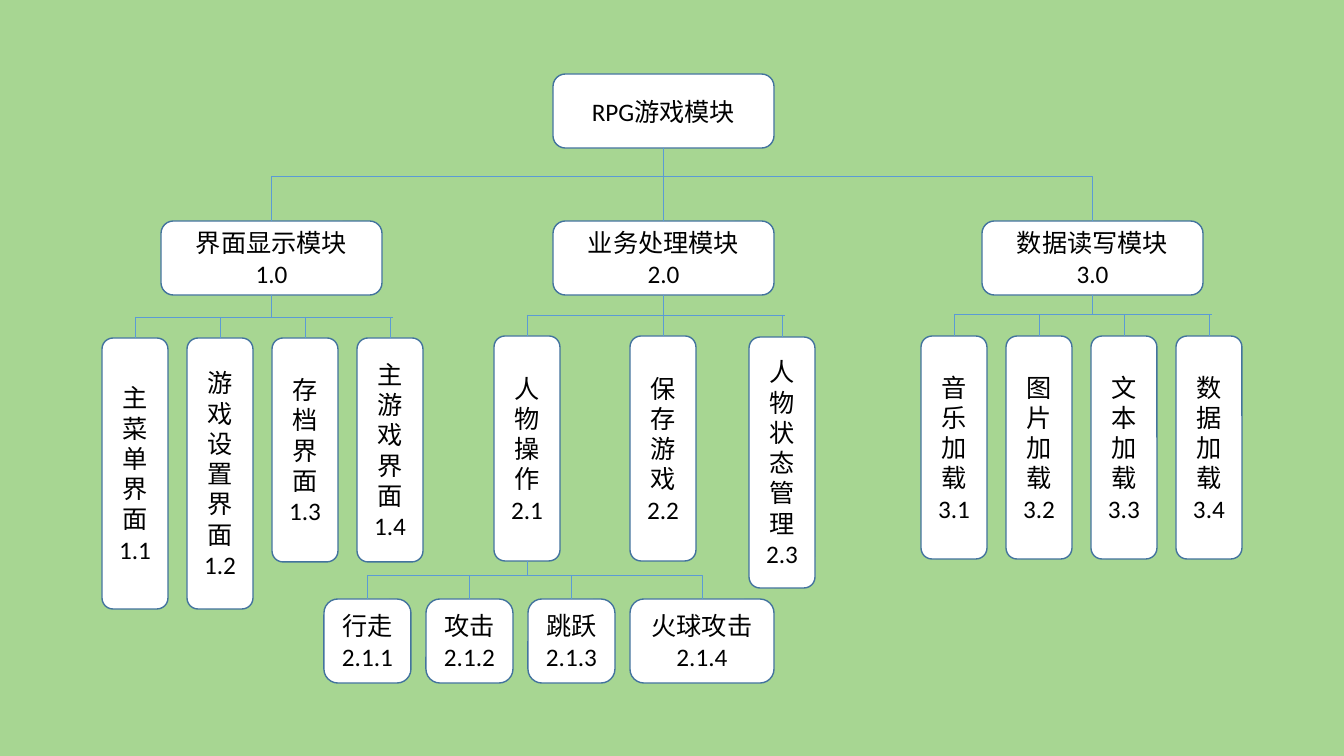
"""Builds a one-slide module tree for an RPG game."""
from lxml.etree import SubElement
from pptx import Presentation
from pptx.dml.color import RGBColor
from pptx.enum.shapes import MSO_CONNECTOR, MSO_SHAPE
from pptx.enum.text import MSO_ANCHOR, PP_ALIGN
from pptx.oxml.ns import qn
from pptx.util import Pt

BACKGROUND = RGBColor(0xA7, 0xD6, 0x92)
BOX_FILL = RGBColor(0xFF, 0xFF, 0xFF)
BOX_LINE = RGBColor(0x43, 0x73, 0x9E)
BRANCH = RGBColor(0x5B, 0x9B, 0xD5)
INK = RGBColor(0x00, 0x00, 0x00)
FONT = "Calibri"
EMU_PER_PX = 914400 / 100.8

MODULE_W, MODULE_H, MODULE_TOP = 221, 74, 221
LEAF_W, LEAF_PITCH = 66, 85
ACTION_TOP, ACTION_H, ACTION_GAP = 599, 84, 15
BUS_OVERHANG = 3

ROOT = (["RPG游戏模块"], 553, 74)
ROOT_BUS = 176

# fields: lines, left, bus y, first leaf left, leaves as (lines, top, height[, left])
MODULES = [
    (["界面显示模块", "1.0"], 161, 317, 102, [
        (["主菜单界面1.1"], 338, 271),
        (["游戏设置界面1.2"], 338, 271),
        (["存档界面1.3"], 338, 224),
        (["主游戏界面1.4"], 338, 224)]),
    (["业务处理模块", "2.0"], 553, 315, 494, [
        (["人物操作2.1"], 336, 225),
        (["保存游戏2.2"], 336, 225, 630),
        (["人物状态管理", "2.3"], 337, 251, 749)]),
    (["数据读写模块", "3.0"], 982, 314, 921, [
        (["音乐加载", "3.1"], 336, 223),
        (["图片加载", "3.2"], 336, 223),
        (["文本加载", "3.3"], 336, 223),
        (["数据加载3.4"], 336, 223)]),
]
ACTION_PARENT = (1, 0)
ACTION_BUS = 575
ACTION_LEFT = 324
ACTIONS = [
    (["行走", "2.1.1"], 87),
    (["攻击", "2.1.2"], 87),
    (["跳跃2.1.3"], 87),
    (["火球攻击", "2.1.4"], 144),
]


def px(length):
    return round(length * EMU_PER_PX)


def add_box(slide, lines, left, top, width, height):
    box = slide.shapes.add_shape(
        MSO_SHAPE.ROUNDED_RECTANGLE, px(left), px(top), px(width), px(height))
    box.shadow.inherit = False
    box.fill.solid()
    box.fill.fore_color.rgb = BOX_FILL
    box.line.color.rgb = BOX_LINE
    box.line.width = Pt(1)
    frame = box.text_frame
    frame.word_wrap = True
    frame.vertical_anchor = MSO_ANCHOR.MIDDLE
    for index, line in enumerate(lines):
        paragraph = frame.add_paragraph() if index else frame.paragraphs[0]
        paragraph.alignment = PP_ALIGN.CENTER
        run = paragraph.add_run()
        run.text = line
        run.font.name = FONT
        run.font.size = Pt(18)
        run.font.color.rgb = INK
    return box


def center(box):
    return box.left + box.width // 2


def add_branch(slide, x1, y1, x2, y2, bent=False):
    kind = MSO_CONNECTOR.ELBOW if bent else MSO_CONNECTOR.STRAIGHT
    branch = slide.shapes.add_connector(kind, x1, y1, x2, y2)
    branch.line.color.rgb = BRANCH
    branch.line.width = Pt(0.5)
    properties = branch._element.spPr
    if bent:
        properties.find(qn("a:prstGeom")).set("prst", "bentConnector2")
    SubElement(properties, qn("a:effectLst"))
    return branch


def add_trunk(slide, parent, bus):
    x = center(parent)
    trunk = add_branch(slide, x, parent.top + parent.height, x, bus)
    trunk.begin_connect(parent, 2)
    return trunk


def add_drops(slide, children, bus):
    for child in children:
        x = center(child)
        add_branch(slide, x, bus, x, child.top).end_connect(child, 0)


def add_elbows(slide, parent, children, bus):
    for child in (children[0], children[-1]):
        add_branch(slide, center(parent), bus, center(child), child.top, bent=True)


def main():
    deck = Presentation()
    deck.slide_width, deck.slide_height = px(1344), px(756)
    slide = deck.slides.add_slide(deck.slide_layouts[6])
    slide.background.fill.solid()
    slide.background.fill.fore_color.rgb = BACKGROUND

    root = add_box(slide, *ROOT, MODULE_W, MODULE_H)
    modules, leaf_rows = [], []
    for lines, left, bus, first_left, leaves in MODULES:
        module = add_box(slide, lines, left, MODULE_TOP, MODULE_W, MODULE_H)
        row = []
        for index, (leaf_lines, top, height, *own_left) in enumerate(leaves):
            leaf_left = own_left[0] if own_left else first_left + index * LEAF_PITCH
            row.append(add_box(slide, leaf_lines, leaf_left, top, LEAF_W, height))
        add_trunk(slide, module, px(bus))
        add_branch(slide, center(row[0]), px(bus),
                   center(row[-1]) + px(BUS_OVERHANG), px(bus))
        add_drops(slide, row, px(bus))
        modules.append(module)
        leaf_rows.append(row)

    add_trunk(slide, root, modules[1].top).end_connect(modules[1], 0)
    add_elbows(slide, root, modules, px(ROOT_BUS))

    actions, left = [], ACTION_LEFT
    for lines, width in ACTIONS:
        actions.append(add_box(slide, lines, left, ACTION_TOP, width, ACTION_H))
        left += width + ACTION_GAP
    module_index, leaf_index = ACTION_PARENT
    operator = leaf_rows[module_index][leaf_index]
    add_trunk(slide, operator, px(ACTION_BUS))
    add_elbows(slide, operator, actions, px(ACTION_BUS))
    add_drops(slide, actions[1:-1], px(ACTION_BUS))

    deck.save("out.pptx")


if __name__ == "__main__":
    main()
